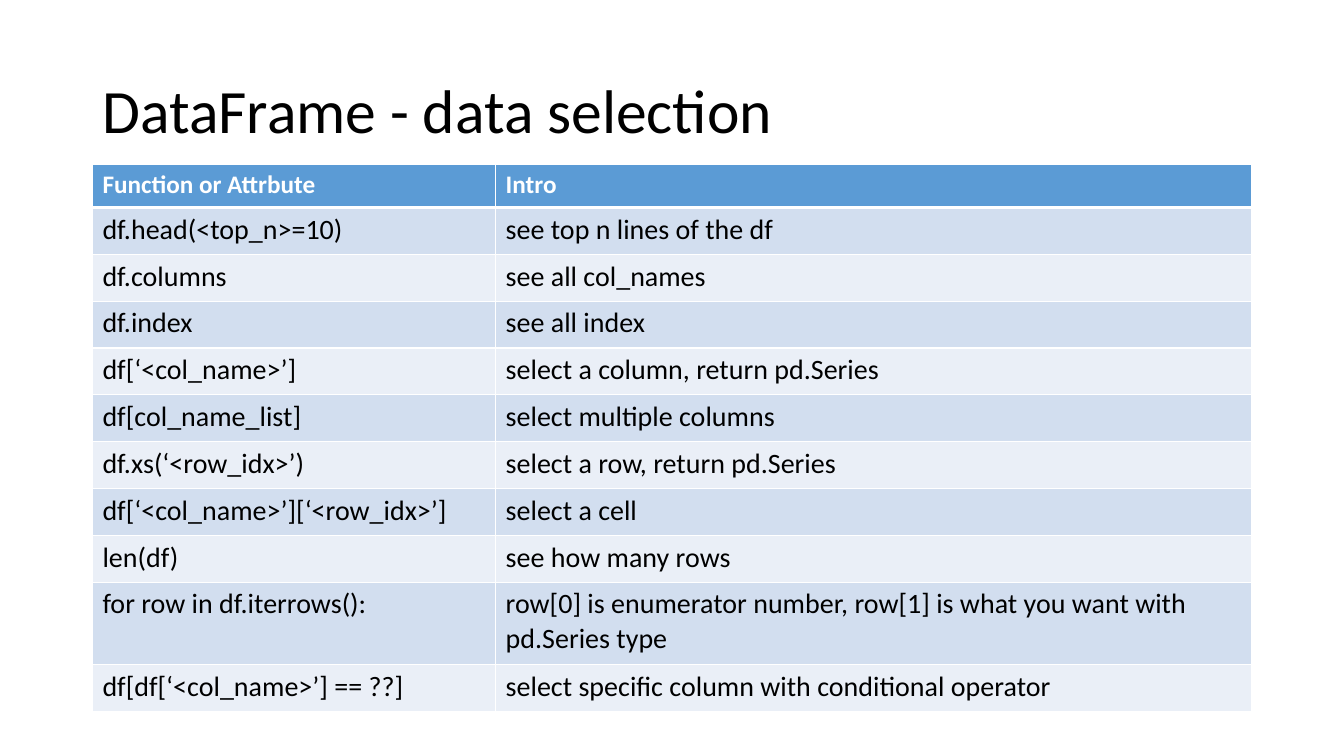
"""Builds the slide on selecting data from a DataFrame."""
import pptx
import pptx.dml.color
import pptx.enum.text
import pptx.oxml.ns
import pptx.util
from lxml import etree

Cm, Pt = pptx.util.Cm, pptx.util.Pt
TITLE = "DataFrame - data selection"
ROWS = [
    ("Function or Attrbute", "Intro"),
    ("df.head(<top_n>=10)", "see top n lines of the df"),
    ("df.columns", "see all col_names"),
    ("df.index", "see all index"),
    ("df[‘<col_name>’]", "select a column, return pd.Series"),
    ("df[col_name_list]", "select multiple columns"),
    ("df.xs(‘<row_idx>’)", "select a row, return pd.Series"),
    ("df[‘<col_name>’][‘<row_idx>’]", "select a cell"),
    ("len(df)", "see how many rows"),
    ("for row in df.iterrows():",
     "row[0] is enumerator number, row[1] is what you want with pd.Series type"),
    ("df[df[‘<col_name>’] == ??]", "select specific column with conditional operator"),
]
WIDTHS = (10.16, 19.05)
HEAD, LINE, TALL = 1.08, 1.18, 2.08
LONG = 9
BANDS = ("EAEFF7", "D2DEEF")
LEFT, WIDE = 2.33, sum(WIDTHS)


def tint(color, code):
    color.rgb = pptx.dml.color.RGBColor.from_string(code)


def style(para, size, code, bold=False):
    font = para.font
    font.name, font.size, font.bold = "Calibri", Pt(size), bold
    tint(font.color, code)


def edge(cell, side, width):
    qn = pptx.oxml.ns.qn
    line = etree.SubElement(cell._tc.get_or_add_tcPr(), qn("a:ln" + side), w=str(Pt(width)))
    fill = etree.SubElement(line, qn("a:solidFill"))
    etree.SubElement(fill, qn("a:srgbClr"), val="FFFFFF")


def main():
    deck = pptx.Presentation()
    deck.slide_width, deck.slide_height = Cm(33.87), Cm(19.05)
    slide = deck.slides.add_slide(deck.slide_layouts[6])

    box = slide.shapes.add_textbox(Cm(LEFT), Cm(1.01), Cm(WIDE), Cm(3.68))
    frame = box.text_frame
    frame.word_wrap = True
    frame.vertical_anchor = pptx.enum.text.MSO_ANCHOR.MIDDLE
    para = frame.paragraphs[0]
    para.text, para.line_spacing = TITLE, 0.9
    style(para, 44, "000000")

    highs = [HEAD] + [LINE] * (len(ROWS) - 1)
    highs[LONG] = TALL
    table = slide.shapes.add_table(len(ROWS), len(WIDTHS), Cm(LEFT), Cm(4.15),
                                   Cm(WIDE), Cm(sum(highs))).table
    for col, width in zip(table.columns, WIDTHS):
        col.width = Cm(width)
    for r, (texts, high) in enumerate(zip(ROWS, highs)):
        table.rows[r].height = Cm(high)
        for c, text in enumerate(texts):
            cell = table.cell(r, c)
            cell.text = text
            head = r == 0
            style(cell.text_frame.paragraphs[0], 18 if head else 20,
                  "FFFFFF" if head else "000000", head)
            for side, width in zip("LRTB", (1, 1, 3 if r == 1 else 1, 3 if head else 1)):
                edge(cell, side, width)
            cell.fill.solid()
            tint(cell.fill.fore_color, "5B9BD5" if head else BANDS[r % 2])
    deck.save("out.pptx")


if __name__ == "__main__":
    main()
